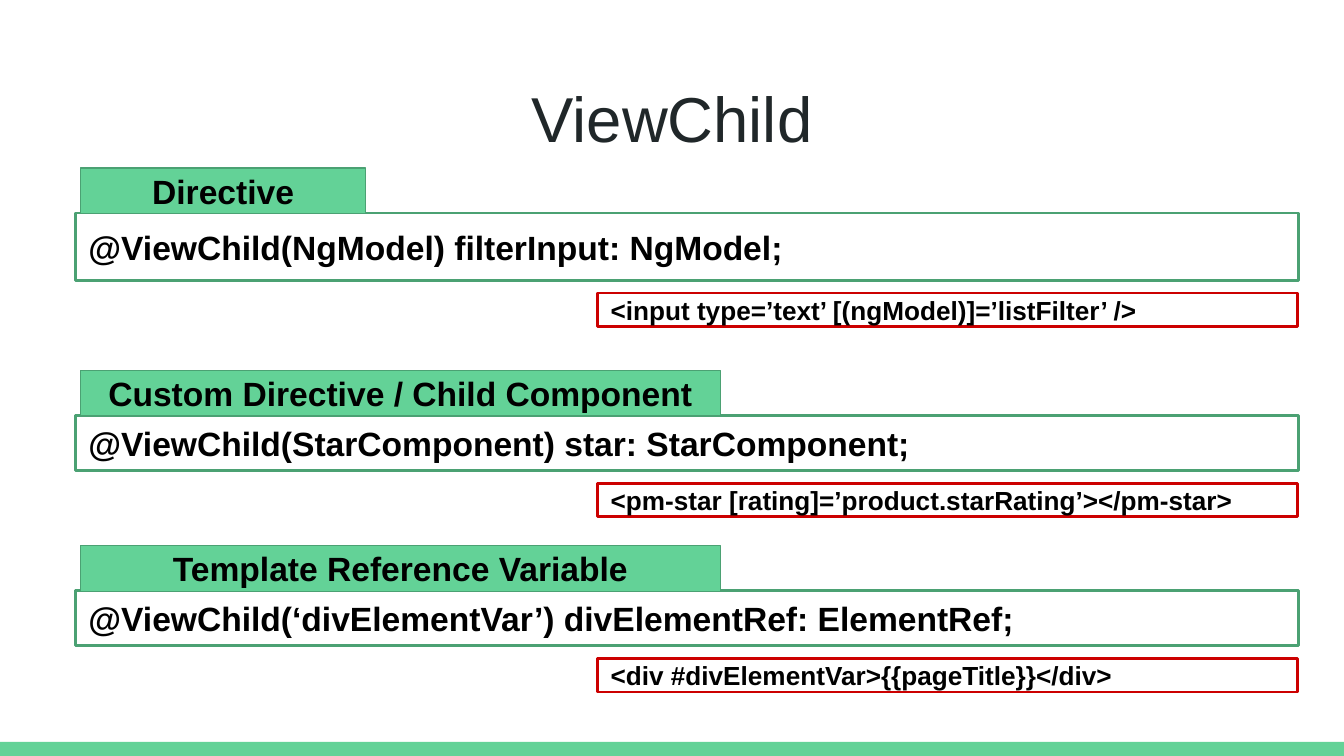
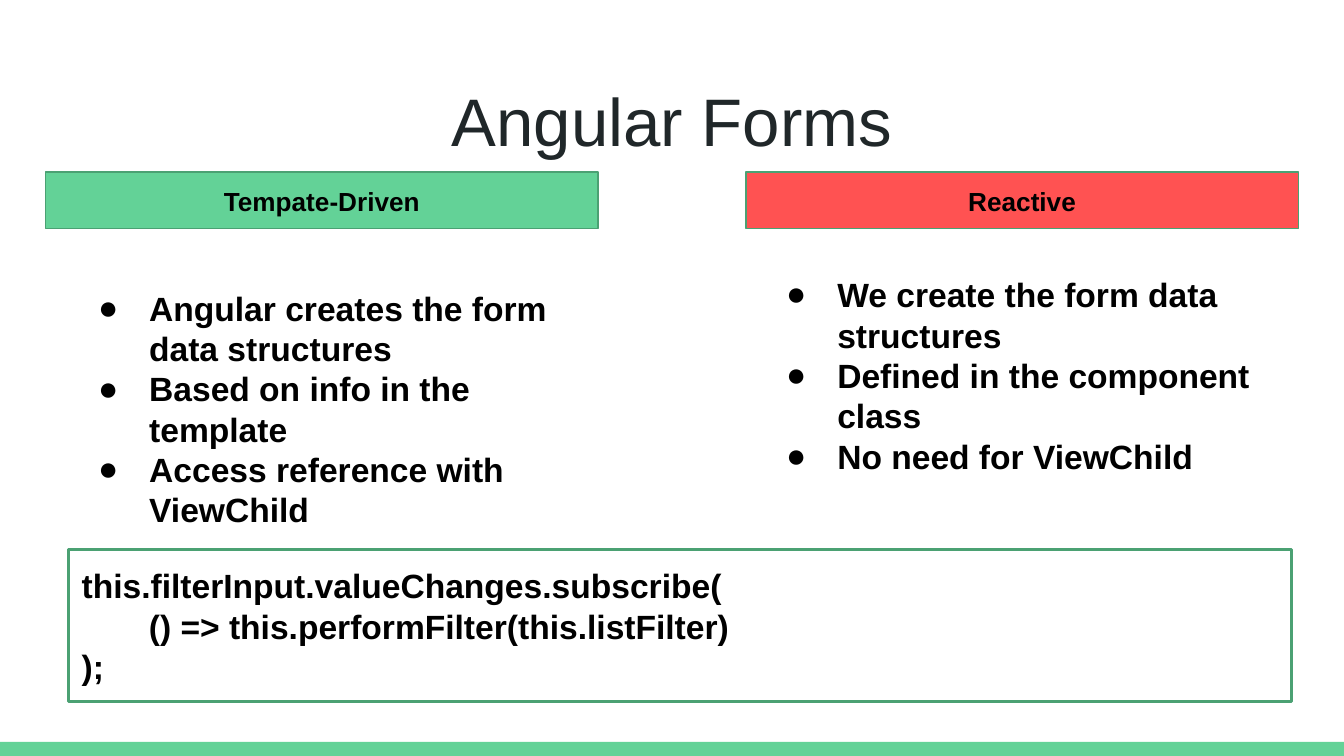
from lxml.etree import SubElement
from pptx import Presentation
from pptx.dml.color import RGBColor
from pptx.enum.shapes import MSO_SHAPE
from pptx.enum.text import MSO_ANCHOR as Anchor, MSO_AUTO_SIZE as AutoSize, PP_ALIGN as Align
from pptx.oxml.ns import qn
from pptx.util import Inches, Pt

FONT = "Arial"
GREEN = RGBColor(0x63, 0xD2, 0x97)
DARK_GREEN = RGBColor(0x4B, 0xA1, 0x73)
CORAL = RGBColor(0xFF, 0x52, 0x52)
RED = RGBColor(0xCC, 0x00, 0x00)
WHITE = RGBColor(0xFF, 0xFF, 0xFF)
BLACK = RGBColor(0x00, 0x00, 0x00)
INK = RGBColor(0x20, 0x27, 0x29)

SLIDE_WIDTH, SLIDE_HEIGHT = Inches(10), Inches(5.625)
CELL = SLIDE_WIDTH / 100
INSET = Inches(0.1)
BAND_TOP = 55.2
WIDE = 91

QUERIES = [
    (12.5, 21.2, 5, "Directive", "@ViewChild(NgModel) filterInput: NgModel;",
     "<input type=’text’ [(ngModel)]=’listFilter’ />"),
    (27.55, 47.6, 4.1, "Custom Directive / Child Component",
     "@ViewChild(StarComponent) star: StarComponent;",
     "<pm-star [rating]=’product.starRating’></pm-star>"),
    (40.6, 47.6, 4.1, "Template Reference Variable",
     "@ViewChild(‘divElementVar’) divElementRef: ElementRef;",
     "<div #divElementVar>{{pageTitle}}</div>"),
]
APPROACHES = [
    (3.4, GREEN, "Tempate-Driven", 5.1, 20.4,
     ["Angular creates the form data structures",
      "Based on info in the template",
      "Access reference with ViewChild"]),
    (55.5, CORAL, "Reactive", 56.3, 19.4,
     ["We create the form data structures",
      "Defined in the component class",
      "No need for ViewChild"]),
]
SUBSCRIPTION = ["this.filterInput.valueChanges.subscribe(",
                "() => this.performFilter(this.listFilter)", ");"]


def cells(*counts):
    """Turn counts of grid cells into lengths."""
    return [round(count * CELL) for count in counts]


def write(shape, lines, size, color=BLACK, bold=True, align=Align.LEFT, anchor=Anchor.TOP):
    """Fill a shape with evenly styled paragraphs."""
    frame = shape.text_frame
    frame.text = "\n".join(lines)
    frame.word_wrap = True
    frame.auto_size = AutoSize.NONE
    frame.vertical_anchor = anchor
    frame.margin_left = frame.margin_right = INSET
    frame.margin_top = frame.margin_bottom = INSET
    for paragraph in frame.paragraphs:
        paragraph.alignment = align
        paragraph.space_before = Pt(0)
        for run in paragraph.runs:
            run.font.name = FONT
            run.font.size = Pt(size)
            run.font.bold = bold
            run.font.color.rgb = color


def add_box(slide, place, fill, outline=None, weight=1.5):
    """Draw a flat rectangle on the grid."""
    box = slide.shapes.add_shape(MSO_SHAPE.RECTANGLE, *cells(*place))
    box.shadow.inherit = False
    box.fill.solid()
    box.fill.fore_color.rgb = fill
    if outline is None:
        box.line.fill.background()
    else:
        box.line.color.rgb = outline
        box.line.width = Pt(weight)
    return box


def add_label(slide, place, caption, size, fill=GREEN, anchor=Anchor.TOP):
    """Draw a filled heading with a centred caption."""
    label = add_box(slide, place, fill, DARK_GREEN, 0.75)
    write(label, [caption], size, align=Align.CENTER, anchor=anchor)


def add_code(slide, place, lines, size=18, outline=DARK_GREEN):
    """Draw an outlined box of code."""
    code = add_box(slide, place, WHITE, outline)
    write(code, lines, size, anchor=Anchor.MIDDLE)
    return code


def move(placeholder, place):
    """Put a placeholder on the grid."""
    (placeholder.left, placeholder.top,
     placeholder.width, placeholder.height) = cells(*place)


def add_title(slide, heading, size):
    """Set the centred slide title."""
    title = slide.shapes.title
    move(title, (3.4, 4.9, 93.2, 6.3))
    write(title, [heading], size, INK, bold=False, align=Align.CENTER)


def fill_list(body, place, items):
    """Turn a body placeholder into a bulleted list."""
    move(body, place)
    write(body, items, 18)
    for paragraph in body.text_frame.paragraphs:
        props = paragraph._p.get_or_add_pPr()
        props.set("marL", str(Inches(0.5)))
        props.set("indent", str(-Inches(0.38)))
        tint = SubElement(props, qn("a:buClr"))
        SubElement(tint, qn("a:srgbClr"), val=str(BLACK))
        SubElement(props, qn("a:buFont"), typeface=FONT)
        SubElement(props, qn("a:buChar"), char="●")


def add_master_band(deck, slide):
    """Draw the bottom band and hand it to the slide master."""
    band = add_box(slide, (0, BAND_TOP, 100, SLIDE_HEIGHT / CELL - BAND_TOP), GREEN)
    band.element.nvSpPr.cNvPr.set("id", "20")
    deck.slide_master.element.cSld.spTree.append(band.element)


def build_queries(slide):
    """Show each kind of query with its matching markup."""
    add_title(slide, "ViewChild", 34)
    for top, label_width, code_height, kind, statement, markup in QUERIES:
        code_top = top + 3.35
        add_code(slide, (5.6, code_top, WIDE, code_height), [statement])
        add_label(slide, (6, top, label_width, 3.4), kind, 18, anchor=Anchor.MIDDLE)
        add_code(slide, (44.45, code_top + code_height + 0.95, 52.1, 2.5),
                 [markup], 14, RED)


def build_forms(slide):
    """Compare the two approaches to forms."""
    add_title(slide, "Angular Forms", 36)
    bodies = list(slide.placeholders)[1:]
    for body, approach in zip(bodies, APPROACHES):
        left, fill, name, list_left, list_top, items = approach
        add_label(slide, (left, 12.8, 41.1, 4.2), name, 14, fill)
        fill_list(body, (list_left, list_top, 39.4, 19.2), items)
    code = add_code(slide, (5.1, 40.9, WIDE, 11.3), SUBSCRIPTION)
    callback = code.text_frame.paragraphs[1]._p.get_or_add_pPr()
    callback.set("marL", "0")
    callback.set("indent", str(Inches(0.5)))


def main():
    """Build and save the deck."""
    deck = Presentation()
    deck.slide_width, deck.slide_height = SLIDE_WIDTH, SLIDE_HEIGHT
    title_only, two_content = deck.slide_layouts[5], deck.slide_layouts[3]
    queries = deck.slides.add_slide(title_only)
    add_master_band(deck, queries)
    build_queries(queries)
    build_forms(deck.slides.add_slide(two_content))
    deck.save("out.pptx")


if __name__ == "__main__":
    main()
